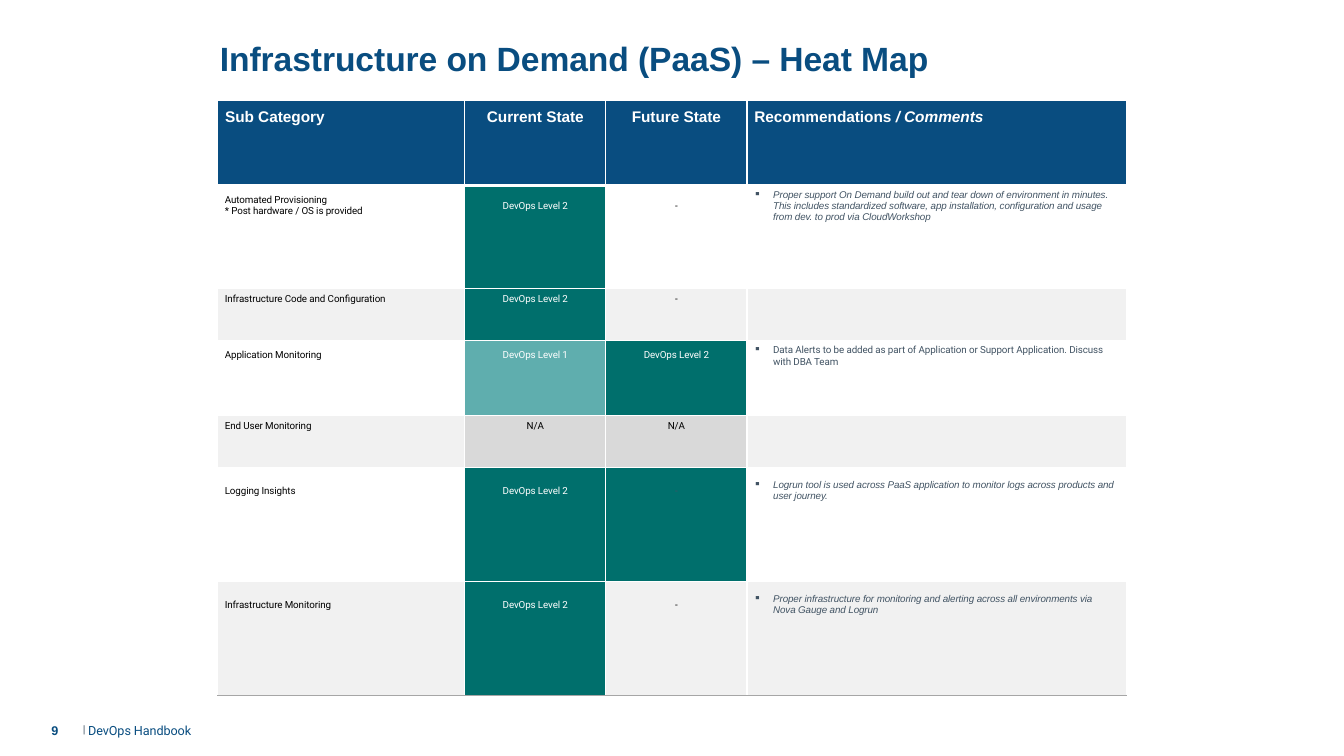
from lxml.etree import SubElement
from pptx import Presentation
from pptx.dml.color import RGBColor
from pptx.enum.text import MSO_ANCHOR as Anchor, PP_ALIGN as Align
from pptx.oxml import parse_xml
from pptx.oxml.ns import nsdecls, qn
from pptx.util import Inches, Pt

NAVY = RGBColor(0x09, 0x4D, 0x80)
SLATE = RGBColor(0x41, 0x53, 0x63)
TEAL = RGBColor(0x00, 0x6F, 0x6C)
LIGHT_TEAL = RGBColor(0x5F, 0xAE, 0xAE)
SILVER = RGBColor(0xD9, 0xD9, 0xD9)
BAND = RGBColor(0xF1, 0xF1, 0xF1)
RULE = RGBColor(0xA6, 0xA6, 0xA6)
WHITE = RGBColor(0xFF, 0xFF, 0xFF)
BLACK = RGBColor(0x00, 0x00, 0x00)

COLUMNS = [18.38, 10.5, 10.5, 28.21]
HEADINGS = [["Sub Category"], ["Current State"], ["Future State"],
            ["Recommendations ", "/ Comments"]]
STATES = {
    "DevOps Level 2": (TEAL, WHITE),
    "DevOps Level 1": (LIGHT_TEAL, WHITE),
    "N/A": (SILVER, BLACK),
    "-": (None, BLACK),
    "- ": (TEAL, SLATE),
}
ROWS = [
    (13.6, (1.2, 2, 0.53), ["Automated Provisioning", "* Post hardware / OS is provided"],
     "DevOps Level 2", "-",
     "Proper support On Demand build out and tear down of environment in minutes. "
     "This includes standardized software, app installation, configuration and usage "
     "from dev. to prod via CloudWorkshop", True),
    (6.93, (0.67, 0.67, 0.67), ["Infrastructure Code and Configuration"],
     "DevOps Level 2", "-", "", False),
    (9.87, (1.2, 1.2, 0.53), ["Application Monitoring"],
     "DevOps Level 1", "DevOps Level 2",
     "Data Alerts to be added as part of Application or Support Application. "
     "Discuss with DBA Team", False),
    (6.93, (0.67, 0.67, 0.67), ["End User Monitoring"], "N/A", "N/A", "", False),
    (15.07, (2.4, 2.4, 1.6), ["Logging Insights"], "DevOps Level 2", "- ",
     "Logrun tool is used across PaaS application to monitor logs across products "
     "and user journey.", True),
    (15.07, (2.4, 2.4, 1.6), ["Infrastructure Monitoring"], "DevOps Level 2", "-",
     "Proper infrastructure for monitoring and alerting across all environments via "
     "Nova Gauge and Logrun", True),
]


class HeatMapSlide:
    """Draws slide elements; lengths are percentages of the slide's size."""

    def __init__(self, presentation):
        self.width = presentation.slide_width
        self.height = presentation.slide_height
        self.slide = presentation.slides.add_slide(presentation.slide_layouts[6])

    def across(self, percent):
        return round(self.width * percent / 100)

    def down(self, percent):
        return round(self.height * percent / 100)

    def style(self, font, size, color, name, bold=False, italic=False):
        font.size, font.name, font.bold, font.italic = Pt(size), name, bold, italic
        font.color.rgb = color

    def add_run(self, paragraph, text, spacing=-5):
        run = paragraph.add_run()
        run.text = text
        run._r.get_or_add_rPr().set("spc", str(spacing))
        return run

    def text_box(self, left, top, width, height):
        box = self.slide.shapes.add_textbox(
            self.across(left), self.down(top), self.across(width), self.down(height))
        frame = box.text_frame
        frame.word_wrap = True
        frame.margin_left = frame.margin_right = frame.margin_top = frame.margin_bottom = 0
        return frame

    def title(self, text):
        frame = self.text_box(16.28, 4.8, 53.19, 5.73)
        frame.vertical_anchor = Anchor.MIDDLE
        frame.margin_left, frame.margin_top = self.across(0.08), self.down(0.13)
        paragraph = frame.paragraphs[0]
        self.add_run(paragraph, text)
        self.style(paragraph.font, 24, NAVY, "Arial", bold=True)

    def footer(self, number, text):
        frame = self.text_box(3.53, 94.8, 11.4, 2.53)
        paragraph = frame.paragraphs[0]
        properties = paragraph._p.get_or_add_pPr()
        properties.set("marL", str(self.across(0.3)))
        stops = SubElement(properties, qn("a:tabLst"))
        SubElement(stops, qn("a:tab"), pos=str(self.across(2.33)), algn="l")
        page = self.add_run(paragraph, f"{number}\t")
        self.style(page.font, 9, NAVY, "Arial", bold=True)
        divider = self.add_run(paragraph, "| ", 0)
        self.style(divider.font, 13.5, SLATE, "Roboto")
        divider._r.get_or_add_rPr().set("baseline", "9000")
        self.style(self.add_run(paragraph, text).font, 9, NAVY, "Roboto")

    def borders(self, cell, top=(WHITE, 1), bottom=(WHITE, 1)):
        properties = cell._tc.get_or_add_tcPr()
        sides = {"L": (WHITE, 1), "R": (WHITE, 1), "T": top, "B": bottom}
        for position, (side, (color, points)) in enumerate(sides.items()):
            properties.insert(position, parse_xml(
                f'<a:ln{side} {nsdecls("a")} w="{Pt(points)}"><a:solidFill>'
                f'<a:srgbClr val="{color}"/></a:solidFill></a:ln{side}>'))

    def cell(self, cell, lines, fill, top, left=0.0, align=Align.LEFT, bullet=False, **font):
        cell.margin_left, cell.margin_top = self.across(left), self.down(top)
        cell.margin_right = self.across(0.9) if bullet else 0
        cell.margin_bottom = 0
        if fill is None:
            cell.fill.background()
        else:
            cell.fill.solid()
            cell.fill.fore_color.rgb = fill
        frame = cell.text_frame
        for index, runs in enumerate(lines):
            paragraph = frame.add_paragraph() if index else frame.paragraphs[0]
            paragraph.alignment = align
            if bullet:
                properties = paragraph._p.get_or_add_pPr()
                properties.set("marL", str(self.across(1.95)))
                properties.set("indent", str(-self.across(1.43)))
                SubElement(properties, qn("a:buChar"), char="▪")
            for text in runs:
                self.add_run(paragraph, text)
            self.style(paragraph.font, **font)

    def heat_map(self):
        table = self.slide.shapes.add_table(
            len(ROWS) + 1, len(COLUMNS), self.across(16.2), self.down(13.33),
            self.across(sum(COLUMNS)), self.down(78.67)).table
        table.first_row = table.horz_banding = False
        for column, width in zip(table.columns, COLUMNS):
            column.width = self.across(width)
        table.rows[0].height = self.down(11.2)
        for index, runs in enumerate(HEADINGS):
            heading = table.cell(0, index)
            centred = index in (1, 2)
            self.cell(heading, [runs], NAVY, 1.07, 0 if centred else 0.55,
                      Align.CENTER if centred else Align.LEFT,
                      size=11, color=WHITE, name="Arial", bold=True)
            self.borders(heading, bottom=(WHITE, 3))
        table.cell(0, 3).text_frame.paragraphs[0].runs[1].font.italic = True
        for index, row in enumerate(ROWS, 1):
            self.heat_row(table, index, *row)

    def heat_row(self, table, index, height, tops, label, current, future, comment, italic):
        table.rows[index].height = self.down(height)
        cells = [table.cell(index, column) for column in range(len(COLUMNS))]
        band = None if index % 2 else BAND
        label_top, state_top, comment_top = tops
        self.cell(cells[0], [[line] for line in label], band, label_top, 0.53,
                  size=7, color=BLACK, name="Roboto")
        for cell, state in zip(cells[1:3], (current, future)):
            fill, color = STATES[state]
            self.cell(cell, [[state.strip()]], fill or band, state_top, align=Align.CENTER,
                      size=7, color=color, name="Roboto")
        self.cell(cells[3], [[comment]] if comment else [], band, comment_top, bullet=True,
                  size=7, color=SLATE, name="Arial" if italic else "Roboto", italic=italic)
        top = (WHITE, 3) if index == 1 else (WHITE, 1)
        bottom = (RULE, 0.75) if index == len(ROWS) else (WHITE, 1)
        for cell in cells:
            self.borders(cell, top, bottom)


def main():
    presentation = Presentation()
    presentation.slide_width, presentation.slide_height = Inches(13.33), Inches(7.5)
    heat_map_slide = HeatMapSlide(presentation)
    heat_map_slide.title("Infrastructure on Demand (PaaS) – Heat Map")
    heat_map_slide.footer(9, "DevOps Handbook")
    heat_map_slide.heat_map()
    presentation.save("out.pptx")


if __name__ == "__main__":
    main()
